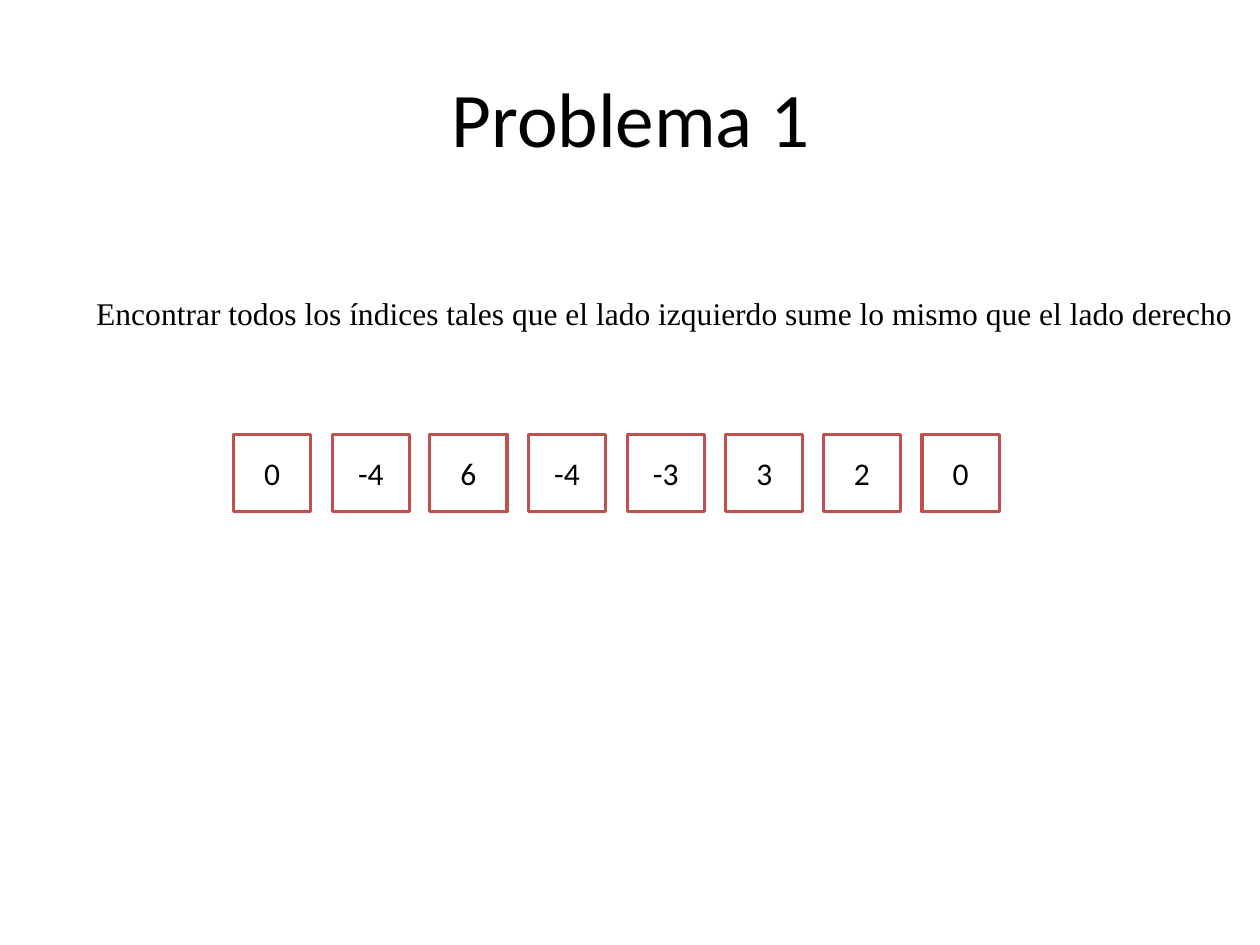
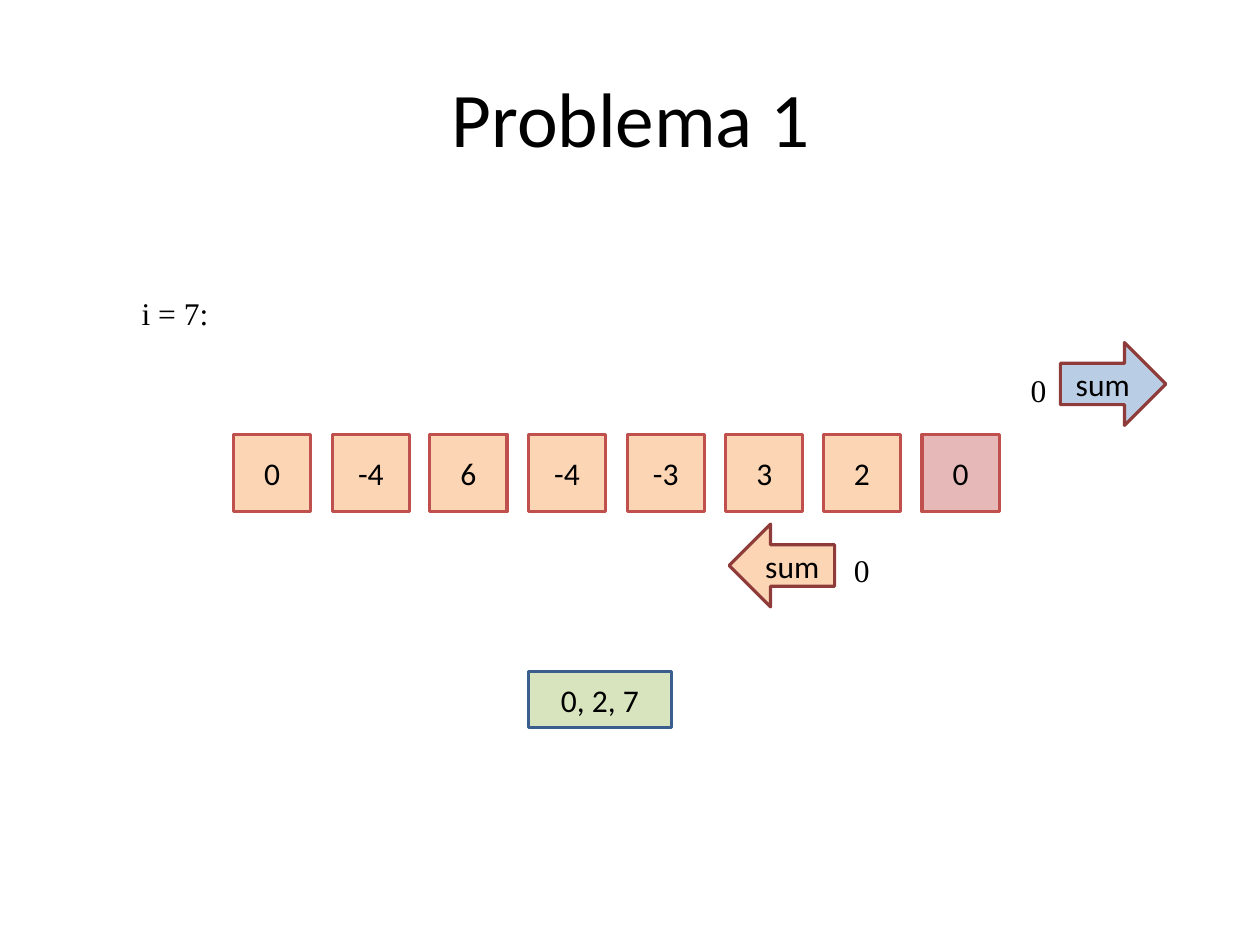
import pptx
import pptx.dml.color
import pptx.enum.shapes
import pptx.enum.text
import pptx.util

PX = 9144  # EMU per px, 100 px to the inch
MSO = pptx.enum.shapes.MSO_SHAPE
BLACK, WHITE = "000000", "FFFFFF"
PEACH, PINK, BLUE, GREEN = "FCD5B5", "E6B9B8", "B9CDE5", "D7E4BD"
RED_LINE, DARK_RED_LINE, BLUE_LINE = "C0504D", "8E3B39", "3A5F8C"

VALUES = ["0", "-4", "6", "-4", "-3", "3", "2", "0"]
CELL, FIRST_X, LAST_X, ROW_Y = 68, 206, 813, 383


def color(hex_string):
    return pptx.dml.color.RGBColor.from_string(hex_string)


def add_item(s, box, text, kind=None, fill=None, line=None,
             font="Times New Roman", size=20):
    """Add a centred preset shape, or a one-line text box when kind is None."""
    box = [v * PX for v in box]
    if kind is None:
        sp = s.shapes.add_textbox(*box)
    else:
        sp = s.shapes.add_shape(kind, *box)
        sp.shadow.inherit = False
        sp.fill.solid()
        sp.fill.fore_color.rgb = color(fill)
        sp.line.color.rgb = color(line)
        sp.line.width = pptx.util.Pt(2)
        font = "Calibri"
    tf = sp.text_frame
    tf.word_wrap = kind is not None
    p = tf.paragraphs[0]
    if kind is not None:
        tf.vertical_anchor = pptx.enum.text.MSO_ANCHOR.MIDDLE
        p.alignment = pptx.enum.text.PP_ALIGN.CENTER
    r = p.add_run()
    r.text = text
    r.font.name = font
    r.font.size = pptx.util.Pt(size)
    r.font.color.rgb = color(BLACK)
    return sp


prs = pptx.Presentation()
prs.slide_width = 1111 * PX
prs.slide_height = 833 * PX

slides = []
for cell_fill, last_fill in [(WHITE, WHITE), (PEACH, PINK)]:
    s = prs.slides.add_slide(prs.slide_layouts[6])
    slides.append(s)

    title = add_item(s, (56, 33, 1000, 139), "Problema 1", font="Calibri", size=49)
    title.text_frame.word_wrap = True
    title.text_frame.vertical_anchor = pptx.enum.text.MSO_ANCHOR.MIDDLE
    title.text_frame.paragraphs[0].alignment = pptx.enum.text.PP_ALIGN.CENTER

    last = len(VALUES) - 1
    for i, value in enumerate(VALUES):
        x = FIRST_X + round(i * (LAST_X - FIRST_X) / last)
        add_item(s, (x, ROW_Y, CELL, CELL), value, MSO.RECTANGLE,
                 last_fill if i == last else cell_fill, RED_LINE)

statement, step = slides

add_item(statement, (75, 254, 1029, 44),
         "Encontrar todos los índices tales que el lado izquierdo "
         "sume lo mismo que el lado derecho")

add_item(step, (115, 254, 79, 44), "i = 7:")
for kind, x, y, fill, sum_x, sum_y in [
    (MSO.RIGHT_ARROW, 935, 302, BLUE, 899, 322),
    (MSO.LEFT_ARROW, 643, 462, PEACH, 743, 481),
]:
    add_item(step, (x, y, 93, 73), "sum", kind, fill, DARK_RED_LINE)
    add_item(step, (sum_x, sum_y, 34, 44), "0")
add_item(step, (466, 592, 126, 49), "0, 2, 7", MSO.RECTANGLE, GREEN, BLUE_LINE)

prs.save("out.pptx")
